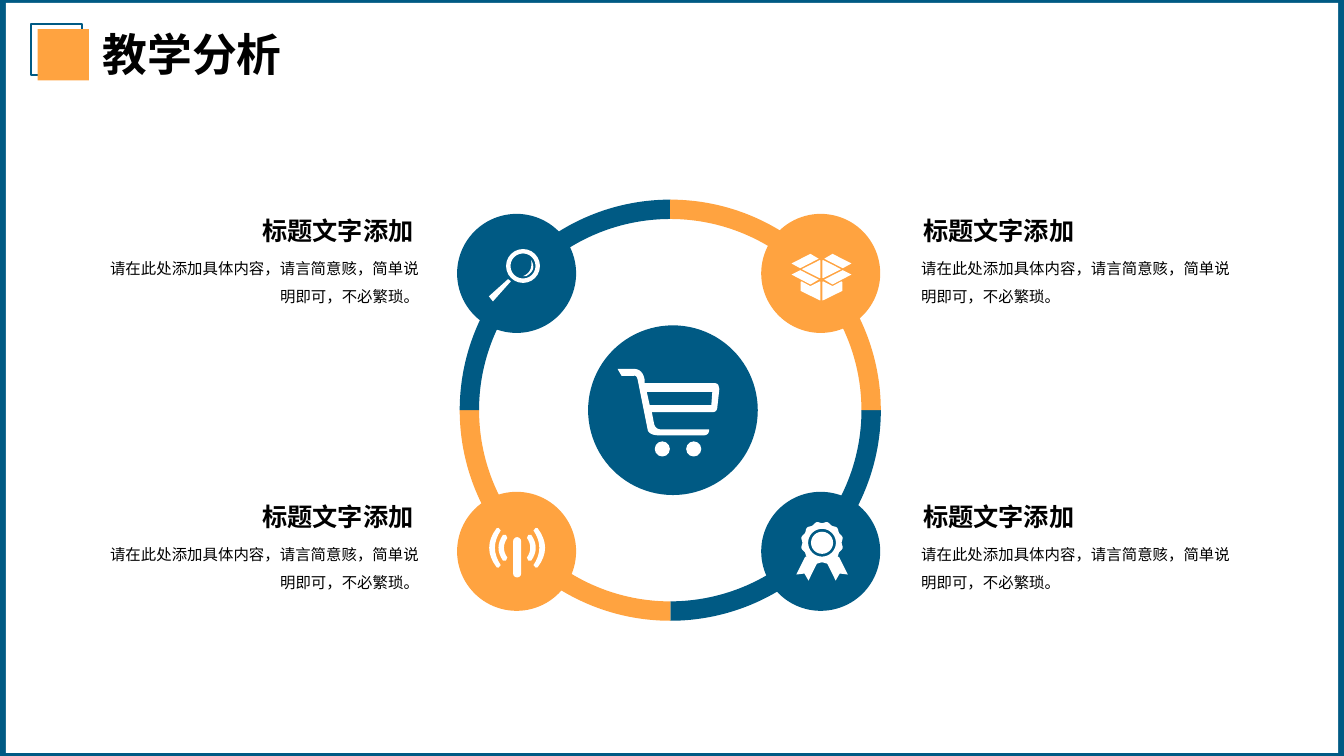
import math

from pptx import Presentation
from pptx import util as u
from pptx.dml.color import RGBColor
from pptx.enum import shapes, text

BLUE = RGBColor(0x00, 0x5A, 0x84)
ORANGE = RGBColor(0xFF, 0xA3, 0x40)
WHITE = RGBColor(0xFF, 0xFF, 0xFF)
BLACK = RGBColor(0x00, 0x00, 0x00)
KIND = shapes.MSO_SHAPE
ALIGN = text.PP_ALIGN


def flatten(contour, steps=8):
    """Turn (x, y) corners and (control x, control y, x, y) curves into corners."""
    points = []
    for item in contour:
        if len(item) == 2:
            points.append(item)
            continue
        x0, y0 = points[-1]
        cx, cy, x1, y1 = item
        for step in range(1, steps + 1):
            t = step / steps
            a, b, c = (1 - t) ** 2, 2 * t * (1 - t), t * t
            points.append((a * x0 + b * cx + c * x1, a * y0 + b * cy + c * y1))
    return points


def flip(contour):
    """Mirror a contour left to right."""
    return [tuple(-v if i % 2 == 0 else v for i, v in enumerate(item)) for item in contour]


class SlideBuilder:
    font = "Arial"

    def __init__(self, page):
        self.page = page

    def paint(self, shape, fill, line=None):
        shape.shadow.inherit = False
        if fill is None:
            shape.fill.background()
        else:
            shape.fill.solid()
            shape.fill.fore_color.rgb = fill
        if line is None:
            shape.line.fill.background()
        else:
            shape.line.color.rgb = line
            shape.line.width = u.Pt(1.5)

    def preset(self, kind, left, top, width, height, fill, line=None, adjust=()):
        shape = self.page.shapes.add_shape(kind, *map(u.Pt, (left, top, width, height)))
        for index, value in enumerate(adjust):
            shape.adjustments[index] = value
        self.paint(shape, fill, line)

    def disc(self, center, radius, fill, kind=KIND.OVAL, adjust=()):
        x, y = center
        self.preset(kind, x - radius, y - radius, 2 * radius, 2 * radius, fill, adjust=adjust)

    def outline(self, center, *contours, fill=WHITE):
        """Draw one freeform; contours after the first cut holes or add parts."""
        builder = None
        for contour in contours:
            points = [(u.Pt(center[0] + x), u.Pt(center[1] + y)) for x, y in flatten(contour)]
            if builder is None:
                builder = self.page.shapes.build_freeform(*points[0])
            else:
                builder.move_to(*points[0])
            builder.add_line_segments(points[1:], close=True)
        self.paint(builder.convert_to_shape(), fill)

    def label(self, words, left, top, width, height, frame, para, font):
        box = self.page.shapes.add_textbox(*map(u.Pt, (left, top, width, height)))
        paragraph = box.text_frame.paragraphs[0]
        span = paragraph.add_run()
        span.text = words
        font = {"name": self.font, **font}
        for target, values in ((box.text_frame, frame), (paragraph, para), (span.font, font)):
            for name, value in values.items():
                setattr(target, name, value)
        span.font.color.rgb = BLACK


def draw_cart(art, center):
    body = [(32.4, -18), (31.5, -19.4, 28.8, -19.4), (-20.2, -19.4), (-20.2, -21.6),
            (-21.6, -29.5, -28.1, -29.5), (-39.6, -29.5), (-36.7, -24.5), (-28.1, -24.5),
            (-25.9, -25.2, -25.2, -21.6), (-18, 14.4), (-16.6, 18, -9.4, 18), (21.6, 18),
            (25.9, 18, 25.9, 13.7), (-8.6, 13.7), (-13, 13.7, -13.7, 8.6), (-15.1, 1.4),
            (28.1, 1.4), (31.5, 1.4, 31.7, -2.2), (33.1, -15.1)]
    basket = [(27.4, -3.6), (-16.6, -3.6), (-18.7, -13), (28.1, -13)]
    art.outline(center, body, basket)
    for dx in (-7.6, 14.8):
        art.disc((center[0] + dx, center[1] + 27.7), 5.4, WHITE)


def draw_box(art, center):
    half = [
        [(-14, -2.9), (-1.2, -9.4), (-0.7, -9.1), (-0.7, 3.2), (-1.2, 3.5)],
        [(-15.2, -2.2), (-21.4, 0.9), (-7.9, 8), (-2, 4.5)],
        [(-7.9, -13.9), (-21.4, -7), (-15.2, -3.6), (-2, -10.4)],
        [(-14.9, 6.2), (-14.2, 5.8), (-7.9, 9.2), (-1.2, 5.8), (-0.7, 6.2),
         (-0.7, 19.3), (-1.2, 19.3), (-14.9, 12.6)],
    ]
    art.outline(center, *half, *map(flip, half))


def draw_medal(art, center):
    def ring(radius_at):
        angles = [math.radians(d) for d in range(0, 360, 5)]
        return [(radius_at(a) * math.cos(a), radius_at(a) * math.sin(a)) for a in angles]

    tail = [(-12, 10), (-18.4, 22.7), (-12.6, 22), (-9.7, 27), (-4, 15.5), (-2, 13)]
    for side in (tail, flip(tail)):
        art.outline(center, side)
    art.outline(center, ring(lambda a: 14.6 - 0.6 * math.cos(12 * a)), ring(lambda a: 9.9))
    art.disc(center, 7.9, WHITE)


def draw_antenna(art, center):
    waves = [
        [(11.7, -12.4), (13.3, -14.2), (14.6, -14), (25.3, 0, 14.6, 14),
         (13.3, 14.2), (11.7, 12.4), (20, 0, 11.7, -12.4)],
        [(7, -7), (8, -9.2), (10.1, -9.2), (16.5, 0, 10.1, 9.2),
         (8, 9.2), (7, 7), (11.8, 0, 7, -7)],
    ]
    art.outline(center, *waves, *map(flip, waves))
    art.preset(KIND.ROUNDED_RECTANGLE, center[0] - 2.9, center[1] - 7.6, 5.8, 28.8,
               WHITE, adjust=(0.5,))


def draw_magnifier(art, center):
    art.disc(center, 12.1, WHITE, KIND.DONUT, (0.13,))
    art.outline(center, [(-24.4, 21.7), (-21.5, 25.3), (-8.6, 10.9), (-10.7, 9.4)])
    art.outline(center, [(5.8, -4.2), (7.2, 4.4, 0, 7.3), (2.2, 7.3), (10.2, 3, 5.8, -4.2)])


def main():
    deck = Presentation()
    deck.slide_width, deck.slide_height = u.Pt(960), u.Pt(540)
    art = SlideBuilder(deck.slides.add_slide(deck.slide_layouts[6]))

    # Frame and title
    art.preset(KIND.RECTANGLE, 0, 0, 960, 540, BLUE)
    art.preset(KIND.RECTANGLE, 4.2, 2.1, 951.6, 535.8, WHITE)
    art.preset(KIND.RECTANGLE, 22.1, 17, 36.7, 36.7, None, BLUE)
    art.preset(KIND.RECTANGLE, 26.8, 20.8, 36.7, 36.7, ORANGE)
    art.label("教学分析", 66.2, 15.8, 144, 46,
              {"word_wrap": False, "auto_size": text.MSO_AUTO_SIZE.SHAPE_TO_FIT_TEXT},
              {}, {"size": u.Pt(32), "bold": True})

    # Four captions
    heading = {"word_wrap": True, "vertical_anchor": text.MSO_ANCHOR.MIDDLE}
    body = {"word_wrap": True, "auto_size": text.MSO_AUTO_SIZE.SHAPE_TO_FIT_TEXT}
    body.update({f"margin_{side}": 0 for side in ("left", "top", "right", "bottom")})
    columns = ((144, 73.4, ALIGN.RIGHT), (652.3, 658, ALIGN.LEFT))
    for top in (151.9, 356.4):
        for heading_left, body_left, align in columns:
            art.label("标题文字添加", heading_left, top, 158.4, 21, heading,
                      {"alignment": align, "line_spacing": 1.2},
                      {"size": u.Pt(18), "bold": True})
            art.label("请在此处添加具体内容，请言简意赅，简单说明即可，不必繁琐。",
                      body_left, top + 26.6, 226, 38.2, body,
                      {"alignment": align, "line_spacing": 1.5}, {"size": u.Pt(11)})

    # Hub with cart
    hub = (480.7, 293)
    art.disc(hub, 60.6, BLUE)
    draw_cart(art, hub)

    # Ring of quarter arcs, clockwise from the lower right
    quarter = 54
    for index, color in enumerate((BLUE, ORANGE, BLUE, ORANGE)):
        start, end = index * quarter, (index + 1) % 4 * quarter
        art.disc((478.8, 293), 150.4, color, KIND.BLOCK_ARC, (start, end, 0.046))

    # Ring nodes with icons
    left, right, upper, lower = 369, 586.2, 195.3, 393.8
    nodes = (
        (right, upper, ORANGE, draw_box, (586.8, 195.2)),
        (right, lower, BLUE, draw_medal, (587.2, 387.7)),
        (left, lower, ORANGE, draw_antenna, (369.4, 391.3)),
        (left, upper, BLUE, draw_magnifier, (373.6, 190)),
    )
    for x, y, color, draw_icon, icon_center in nodes:
        art.disc((x, y), 42.5, color)
        draw_icon(art, icon_center)

    deck.save("out.pptx")


if __name__ == "__main__":
    main()
